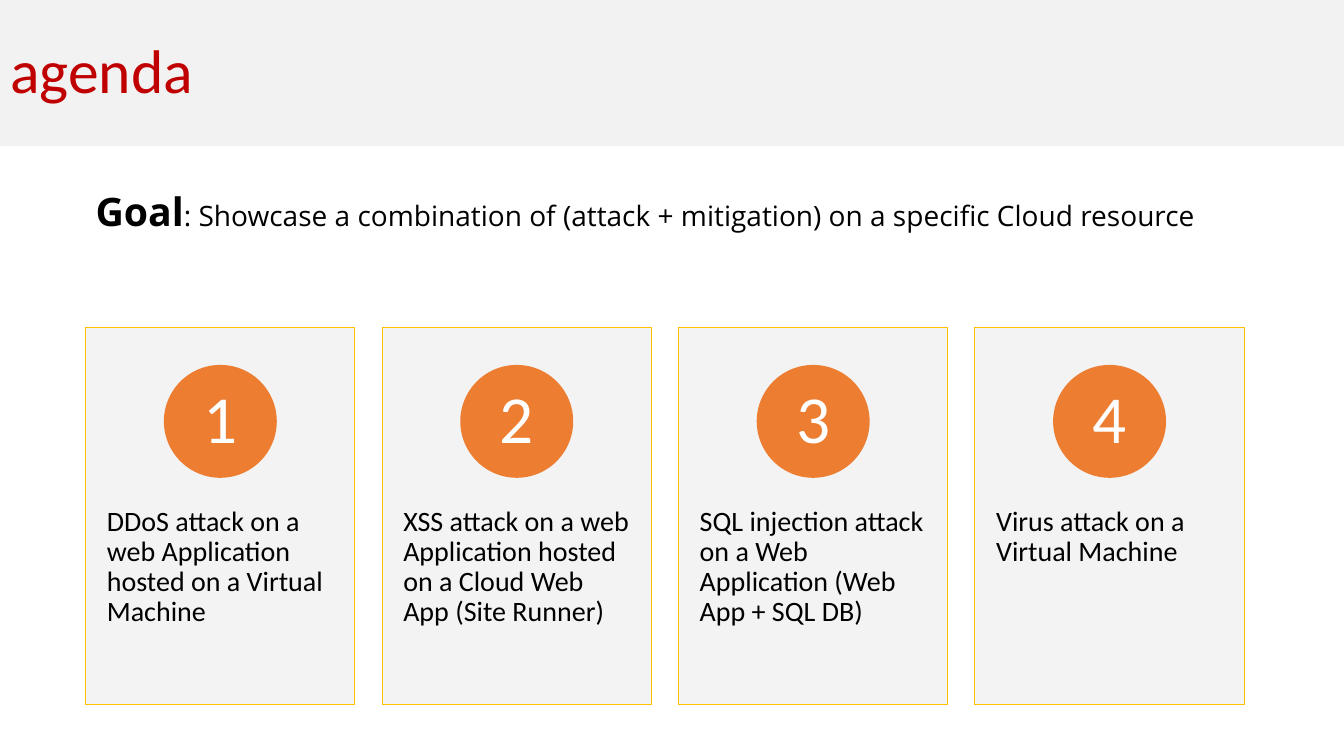
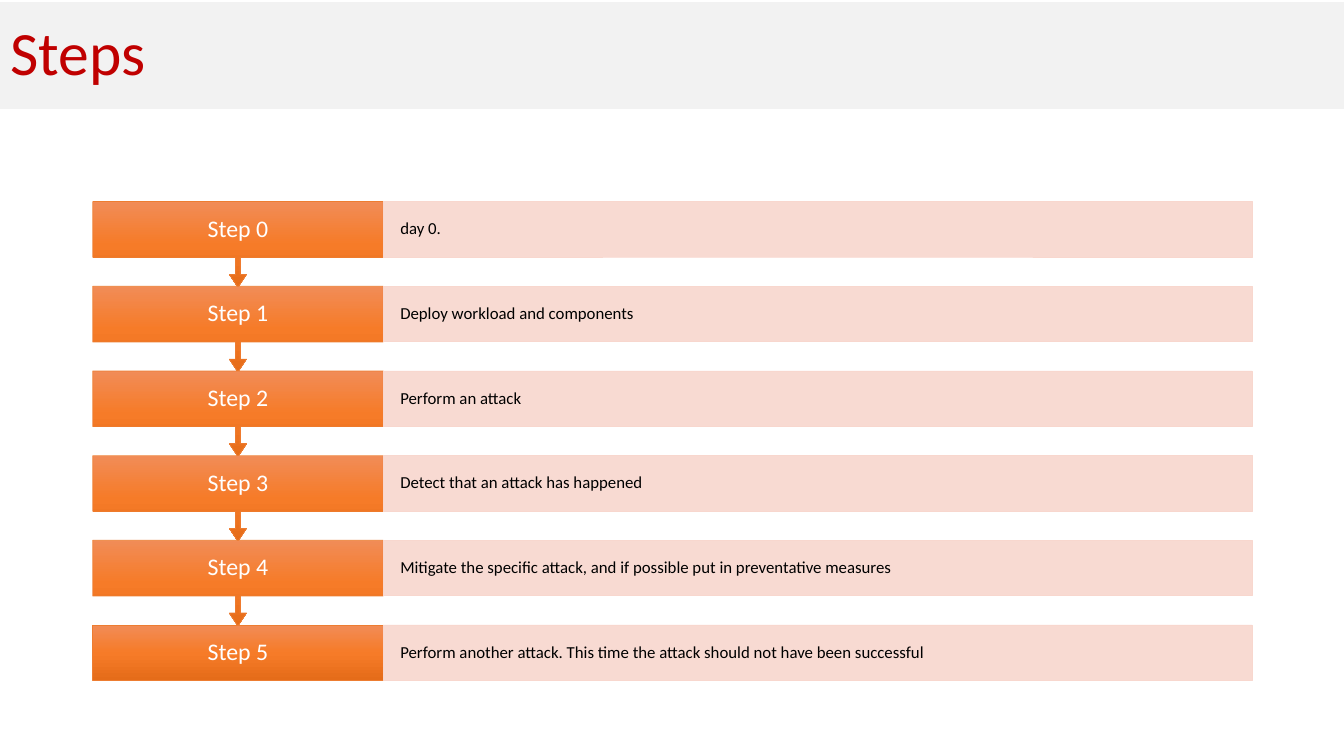
from copy import deepcopy

from pptx import Presentation
from pptx.dml.color import RGBColor
from pptx.enum.shapes import MSO_SHAPE
from pptx.enum.text import MSO_ANCHOR, PP_ALIGN
from pptx.oxml.ns import qn
from pptx.util import Inches, Pt

COLORS = {
    "title": "C00000",
    "surface": "F2F2F2",
    "card_line": "FFC000",
    "accent": "ED7D31",
    "panel": "F8D7CE",
    "text": "000000",
    "light": "FFFFFF",
}
STEP_GRADIENT = [(0, "F18C57"), (0.5, "F67B28"), (1, "E56C19")]
FONT = "Calibri"
GOAL_FONT = "Open Sans"
SLIDE_W, SLIDE_H = 13.33, 7.5

CARDS = [
    "DDoS attack on a web Application hosted on a Virtual Machine",
    "XSS attack on a web Application hosted on a Cloud Web App (Site Runner)",
    "SQL injection attack on a Web Application (Web App + SQL DB)",
    "Virus attack on a Virtual Machine",
]
STEPS = [
    "day 0.",
    "Deploy workload and components",
    "Perform an attack",
    "Detect that an attack has happened",
    "Mitigate the specific attack, and if possible put in preventative measures",
    "Perform another attack. This time the attack should not have been successful",
]


def rgb(name):
    return RGBColor.from_string(COLORS[name])


def add_run(p, text, size, color="text", font=FONT, bold=False):
    r = p.add_run()
    r.text = text
    r.font.size = Pt(size)
    r.font.name = font
    r.font.bold = bold
    r.font.color.rgb = rgb(color)


def write(sp, text, size, color="text", align=PP_ALIGN.LEFT,
          anchor=MSO_ANCHOR.MIDDLE, insets=(0.1, 0.05, 0.1, 0.05)):
    tf = sp.text_frame
    tf.word_wrap = True
    tf.vertical_anchor = anchor
    tf.margin_left, tf.margin_top, tf.margin_right, tf.margin_bottom = map(Inches, insets)
    p = tf.paragraphs[0]
    p.alignment = align
    p.line_spacing = 0.9
    add_run(p, text, size, color)


def add_box(slide, kind, x, y, w, h, fill=None, line=None, weight=0.5):
    sp = slide.shapes.add_shape(kind, Inches(x), Inches(y), Inches(w), Inches(h))
    sp.shadow.inherit = False
    if fill:
        sp.fill.solid()
        sp.fill.fore_color.rgb = rgb(fill)
    if line:
        sp.line.color.rgb = rgb(line)
        sp.line.width = Pt(weight)
    else:
        sp.line.fill.background()
    return sp


def set_fill_alpha(sp, percent):
    clr = sp._element.spPr.find(qn("a:solidFill")).find(qn("a:srgbClr"))
    clr.append(clr.makeelement(qn("a:alpha"), {"val": str(percent * 1000)}))


def set_gradient(sp, stops):
    sp.fill.gradient()
    sp.fill.gradient_angle = 270
    gs_list = sp._element.spPr.find(qn("a:gradFill")).find(qn("a:gsLst"))
    while len(gs_list) < len(stops):
        gs_list.append(deepcopy(gs_list[-1]))
    for stop, (position, color) in zip(sp.fill.gradient_stops, stops):
        stop.position = position
        stop.color.rgb = RGBColor.from_string(color)


def add_titled_slide(prs, title, top, height):
    slide = prs.slides.add_slide(prs.slide_layouts[5])
    sp = slide.shapes.title
    sp.left, sp.top = Inches(0), Inches(top)
    sp.width, sp.height = Inches(SLIDE_W), Inches(height)
    sp.fill.solid()
    sp.fill.fore_color.rgb = rgb("surface")
    write(sp, title, 44, "title")
    return slide


def add_goal(slide, x, y, w, h):
    tf = slide.shapes.add_textbox(Inches(x), Inches(y), Inches(w), Inches(h)).text_frame
    tf.word_wrap = True
    p = tf.paragraphs[0]
    add_run(p, "Goal", 28, font=GOAL_FONT, bold=True)
    add_run(p, ": Showcase a combination of (attack + mitigation) on a specific Cloud resource",
            20, font=GOAL_FONT)


def add_card(slide, number, text, x, y, w, h):
    card = add_box(slide, MSO_SHAPE.RECTANGLE, x, y, w, h, "surface", "card_line", 0.75)
    set_fill_alpha(card, 90)
    write(card, text, 20, anchor=MSO_ANCHOR.TOP, insets=(0.21, 1.78, 0.21, 0.36))
    size = 1.12
    badge = add_box(slide, MSO_SHAPE.OVAL, x + (w - size) / 2, y + 0.37, size, size, "accent")
    write(badge, str(number), 48, "light", PP_ALIGN.CENTER, insets=(0.09, 0.01, 0.09, 0.01))


def add_step(slide, number, text, x, y, w, h, is_last):
    label_w, arrow_h = 2.88, 0.3
    if is_last:
        label = add_box(slide, MSO_SHAPE.RECTANGLE, x, y, label_w, h, line="accent")
    else:
        label = add_box(slide, MSO_SHAPE.DOWN_ARROW_CALLOUT, x, y, label_w, h + arrow_h,
                        line="accent")
        for i, value in enumerate((0.05, 0.1, 0.15, 0.65)):
            label.adjustments[i] = value
    set_gradient(label, STEP_GRADIENT)
    write(label, f"Step {number}", 17, "light", PP_ALIGN.CENTER,
          insets=(0.2, 0.13, 0.2, 0.13))
    panel = add_box(slide, MSO_SHAPE.RECTANGLE, x + label_w, y, w - label_w, h,
                    "panel", "panel")
    set_fill_alpha(panel, 90)
    write(panel, text, 12, insets=(0.17, 0.17, 0.17, 0.17))


def build_agenda(prs):
    slide = add_titled_slide(prs, "agenda", 0, 1.45)
    add_goal(slide, 0.85, 1.81, 11.5, 0.57)
    for i, text in enumerate(CARDS):
        add_card(slide, i + 1, text, 0.85 + i * 2.94, 3.25, 2.67, 3.74)


def build_steps(prs):
    slide = add_titled_slide(prs, "Steps", 0.02, 1.06)
    for i, text in enumerate(STEPS):
        add_step(slide, i, text, 0.92, 2 + i * 0.84, 11.5, 0.55, i == len(STEPS) - 1)


def main():
    prs = Presentation()
    prs.slide_width, prs.slide_height = Inches(SLIDE_W), Inches(SLIDE_H)
    build_agenda(prs)
    build_steps(prs)
    prs.save("out.pptx")


if __name__ == "__main__":
    main()
